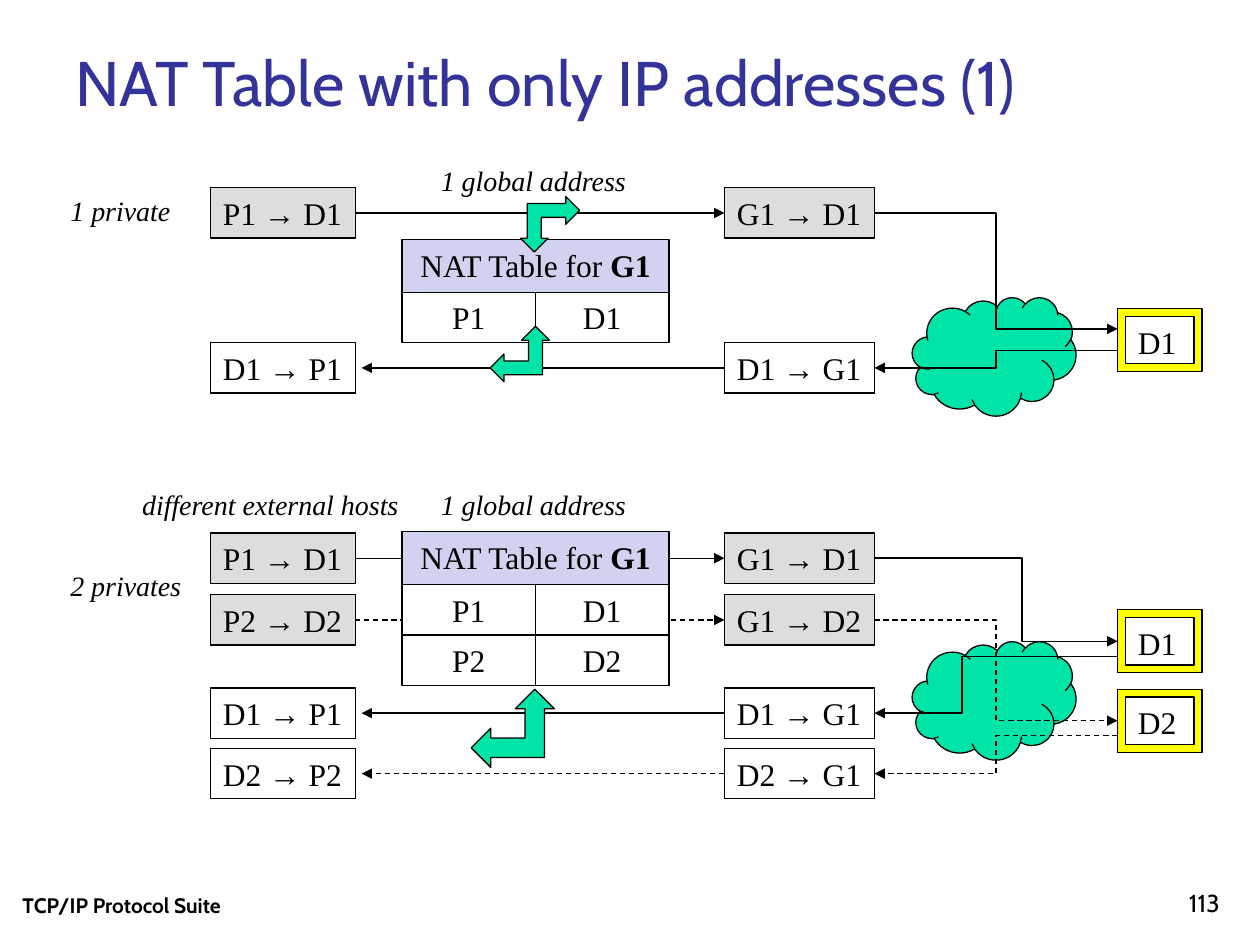
from dataclasses import dataclass

from lxml.etree import SubElement
from pptx import Presentation
from pptx.dml.color import RGBColor
from pptx.enum.dml import MSO_LINE
from pptx.enum.shapes import MSO_CONNECTOR, MSO_SHAPE
from pptx.enum.text import MSO_ANCHOR, MSO_AUTO_SIZE, PP_ALIGN
from pptx.oxml.ns import qn
from pptx.util import Inches, Pt


@dataclass(frozen=True)
class Theme:
    sans: str = "Cabin"
    serif: str = "Times New Roman"
    title: str = "333399"
    ink: str = "000000"
    white: str = "FFFFFF"
    outgoing: str = "DDDDDD"
    header: str = "D1D1F0"
    green: str = "00E4A8"
    host: str = "FFFF00"
    title_size: int = 36
    box_size: int = 18
    label_size: int = 16
    number_size: int = 14
    footer_size: int = 12
    line: float = 0.75


T = Theme()
TITLE = "NAT Table with only IP addresses (1)"
FOOTER, NUMBER = "TCP/IP Protocol Suite", "113"
LABELS = [
    ("1 private", 0.46, 1.49, 1.01),
    ("1 global address", 3.4, 1.25, 1.69),
    ("2 privates", 0.46, 4.46, 1.1),
    ("1 global address", 3.4, 3.82, 1.69),
    ("different external hosts", 1.03, 3.82, 2.27),
]
# top, private side, global side, outgoing, dashed, host-side y, bend
FLOWS = [
    (1.49, "P1 → D1", "G1 → D1", True, False, 2.61, 0.5),
    (2.72, "D1 → P1", "D1 → G1", False, False, 2.78, 0.5),
    (4.23, "P1 → D1", "G1 → D1", True, False, 5.09, 0.607),
    (4.72, "P2 → D2", "G1 → D2", True, True, 5.72, 0.5),
    (5.46, "D1 → P1", "D1 → G1", False, False, 5.21, 0.64),
    (5.94, "D2 → P2", "D2 → G1", False, True, 5.84, 0.5),
]
TABLES = [(1.9, [("P1", "D1")]), (4.22, [("P1", "D1"), ("P2", "D2")])]
CLOUD_TOPS = [2.36, 5.09]
HOSTS = [("D1", 2.45), ("D1", 4.84), ("D2", 5.47)]
TURNS = [(4.13, 1.56, 0.47, 0.44, 180), (3.89, 2.59, 0.47, 0.44, 0),
         (3.74, 5.47, 0.66, 0.62, 0)]
PRIVATE_X, GLOBAL_X, HOST_X = 1.67, 5.75, 8.87
PRIVATE_W, GLOBAL_W, BOX_H = 1.15, 1.19, 0.4
RETURN_X = 2.87
TABLE_X, CELL_W, HEAD_H = 3.19, 1.06, 0.42


def write(sp, runs, size, font=T.serif, color=T.ink, align=PP_ALIGN.LEFT,
          anchor=MSO_ANCHOR.TOP, wrap=True, grow=False, bold=None, italic=None):
    tf = sp.text_frame
    tf.word_wrap, tf.vertical_anchor = wrap, anchor
    tf.auto_size = MSO_AUTO_SIZE.SHAPE_TO_FIT_TEXT if grow else MSO_AUTO_SIZE.NONE
    p = tf.paragraphs[0]
    p.alignment = align
    p.font.name, p.font.size = font, Pt(size)
    p.font.bold, p.font.italic = bold, italic
    p.font.color.rgb = RGBColor.from_string(color)
    for text, strong in runs:
        r = p.add_run()
        r.text = text
        if strong:
            r.font.bold = True


def add_text(s, text, x, y, w, h, size, **style):
    sp = s.shapes.add_textbox(*map(Inches, (x, y, w, h)))
    write(sp, [(text, False)], size, **style)


def add_shape(s, kind, x, y, w, h, fill, runs=(), **style):
    sp = s.shapes.add_shape(kind, *map(Inches, (x, y, w, h)))
    sp.shadow.inherit = False
    sp.fill.solid()
    sp.fill.fore_color.rgb = RGBColor.from_string(fill)
    sp.line.color.rgb = RGBColor.from_string(T.ink)
    sp.line.width = Pt(T.line)
    if runs:
        write(sp, runs, T.box_size, **style)
    return sp


def add_arrow(s, start, end, dashed, bend=None):
    kind = MSO_CONNECTOR.STRAIGHT if bend is None else MSO_CONNECTOR.ELBOW
    c = s.shapes.add_connector(kind, *map(Inches, (*start, *end)))
    c.line.color.rgb = RGBColor.from_string(T.ink)
    c.line.width = Pt(T.line)
    if dashed:
        c.line.dash_style = MSO_LINE.DASH
    spPr = c._element.spPr
    SubElement(spPr.find(qn("a:ln")), qn("a:tailEnd"), type="triangle")
    SubElement(spPr, qn("a:effectLst"))
    if bend is not None:
        geom = spPr.find(qn("a:prstGeom"))
        av = geom.find(qn("a:avLst"))
        if av is None:
            av = SubElement(geom, qn("a:avLst"))
        SubElement(av, qn("a:gd"), name="adj1", fmla=f"val {round(bend * 100000)}")


def add_flow(s, top, private, public, outgoing, dashed, host_y, bend):
    mid = top + BOX_H / 2
    fill = T.outgoing if outgoing else T.white
    for text, x, w in ((private, PRIVATE_X, PRIVATE_W), (public, GLOBAL_X, GLOBAL_W)):
        add_shape(s, MSO_SHAPE.RECTANGLE, x, top, w, BOX_H, fill,
                  [(text, False)], wrap=False, grow=True)
    edge, host = (GLOBAL_X + GLOBAL_W, mid), (HOST_X, host_y)
    if outgoing:
        add_arrow(s, (PRIVATE_X + PRIVATE_W, mid), (GLOBAL_X, mid), dashed)
        add_arrow(s, edge, host, dashed, bend)
    else:
        add_arrow(s, host, edge, dashed, bend)
        add_arrow(s, (GLOBAL_X, mid), (RETURN_X, mid), dashed)


def add_nat_table(s, top, rows):
    style = dict(align=PP_ALIGN.CENTER, grow=True)
    add_shape(s, MSO_SHAPE.RECTANGLE, TABLE_X, top, 2 * CELL_W, HEAD_H, T.header,
              [("NAT Table for ", False), ("G1", True)], **style)
    for i, row in enumerate(rows):
        for j, text in enumerate(row):
            add_shape(s, MSO_SHAPE.RECTANGLE, TABLE_X + j * CELL_W,
                      top + HEAD_H + i * BOX_H, CELL_W, BOX_H, T.white,
                      [(text, False)], **style)


def main():
    """Build the NAT table slide."""
    prs = Presentation()
    prs.slide_width, prs.slide_height = Inches(10), Inches(7.5)
    s = prs.slides.add_slide(prs.slide_layouts[6])
    add_text(s, FOOTER, 0.08, 6.83, 3.17, 0.5, T.footer_size, font=T.sans,
             bold=True, anchor=MSO_ANCHOR.BOTTOM)
    add_text(s, NUMBER, 7.7, 6.83, 2.08, 0.5, T.number_size, font=T.sans,
             align=PP_ALIGN.RIGHT, anchor=MSO_ANCHOR.BOTTOM)
    add_text(s, TITLE, 0.5, 0.3, 9, 0.7, T.title_size, font=T.sans, color=T.title)
    for top in CLOUD_TOPS:
        add_shape(s, MSO_SHAPE.CLOUD, 7.24, top, 1.3, 0.94, T.green)
    for text, top in HOSTS:
        add_shape(s, MSO_SHAPE.FRAME, HOST_X, top, 0.67, 0.5, T.host, [(text, False)])
    for flow in FLOWS:
        add_flow(s, *flow)
    for table in TABLES:
        add_nat_table(s, *table)
    for *box, angle in TURNS:
        add_shape(s, MSO_SHAPE.LEFT_UP_ARROW, *box, T.green).rotation = angle
    for text, x, y, w in LABELS:
        add_text(s, text, x, y, w, 0.37, T.label_size, italic=True, wrap=False, grow=True)
    prs.save("out.pptx")


if __name__ == "__main__":
    main()
